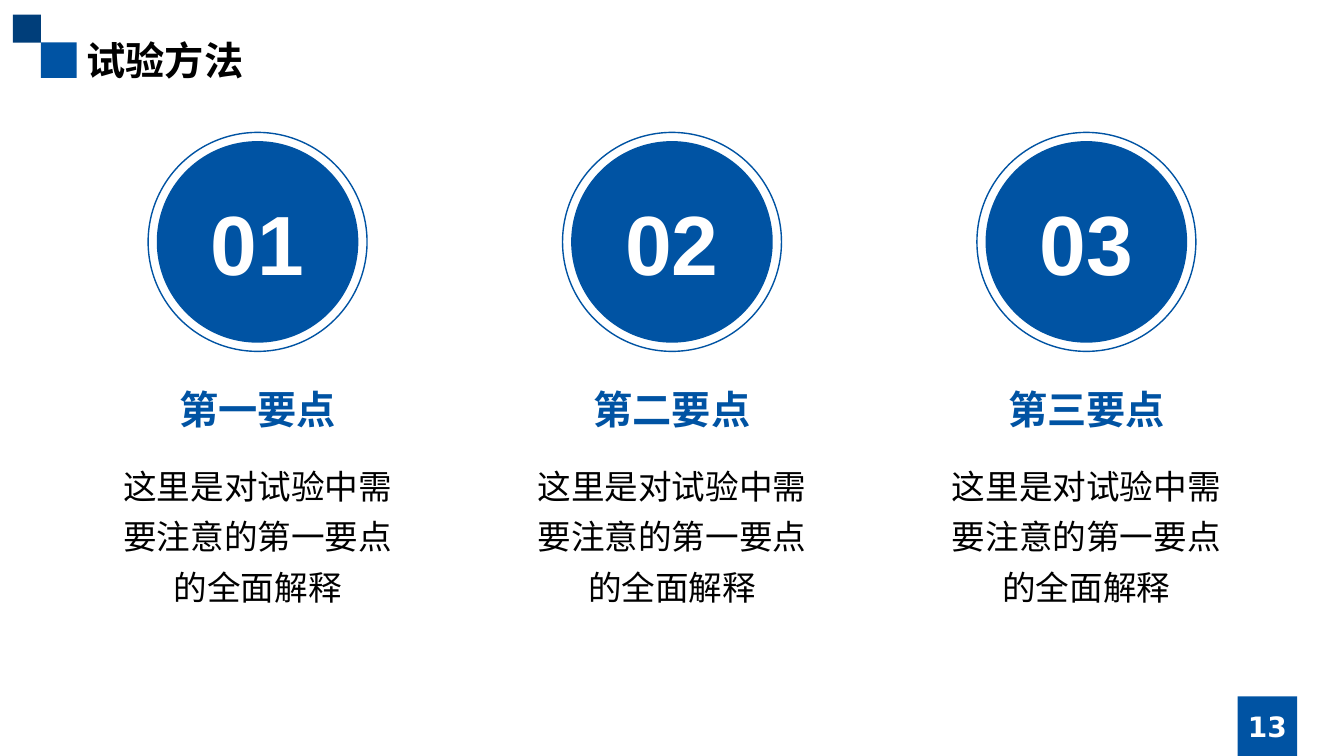
import pptx
import pptx.dml.color
import pptx.enum.shapes
import pptx.enum.text
import pptx.oxml
import pptx.oxml.ns
import pptx.util

Pt = pptx.util.Pt
SHAPES = pptx.enum.shapes.MSO_SHAPE
ANCHOR = pptx.enum.text.MSO_ANCHOR
ALIGN = pptx.enum.text.PP_ALIGN

BLUE, NAVY, WHITE, BLACK = "0053A3", "003E7A", "FFFFFF", "000000"
CJK_FONT = "Noto Sans CJK SC"
FIRST_CENTER, COLUMN_STEP = 184, 296
DISC, RING = 144, 156.4
CIRCLE_MIDDLE = 172.8
EXPLANATION = "这里是对试验中需要注意的第一要点的全面解释"
POINTS = [("01", "第一要点"), ("02", "第二要点"), ("03", "第三要点")]


def color(hex_text):
    return pptx.dml.color.RGBColor.from_string(hex_text)


def set_all(target, values):
    for name, value in values.items():
        setattr(target, name, value)


def write(box, text, size, hex_text, font="Arial", bold=True,
          align=ALIGN.CENTER, anchor=ANCHOR.MIDDLE, spacing=1.0):
    frame = box.text_frame
    set_all(frame, {"word_wrap": True, "vertical_anchor": anchor,
                    "auto_size": pptx.enum.text.MSO_AUTO_SIZE.NONE})
    para = frame.paragraphs[0]
    set_all(para, {"alignment": align, "line_spacing": spacing})
    span = para.add_run()
    span.text = text
    set_all(span.font, {"name": font, "size": Pt(size), "bold": bold})
    span.font.color.rgb = color(hex_text)
    # East Asian typeface
    east = pptx.oxml.parse_xml(
        f'<a:ea {pptx.oxml.ns.nsdecls("a")} typeface="{CJK_FONT}"/>')
    span.font._element.append(east)


def add_text(page, left, top, width, height, text, size, hex_text, **options):
    box = page.shapes.add_textbox(Pt(left), Pt(top), Pt(width), Pt(height))
    write(box, text, size, hex_text, **options)


def add_figure(page, kind, left, top, side, fill=None, line=None):
    figure = page.shapes.add_shape(kind, Pt(left), Pt(top), Pt(side), Pt(side))
    figure.shadow.inherit = False
    if fill:
        figure.fill.solid()
        figure.fill.fore_color.rgb = color(fill)
    else:
        figure.fill.background()
    if line:
        figure.line.color.rgb = color(line)
        figure.line.width = Pt(1)
    else:
        figure.line.fill.background()
    return figure


def add_circle(page, center, diameter, **paint):
    return add_figure(page, SHAPES.OVAL, center - diameter / 2,
                      CIRCLE_MIDDLE - diameter / 2, diameter, **paint)


def add_point(page, center, number, heading):
    disc = add_circle(page, center, DISC, fill=BLUE)
    write(disc, number, 60, WHITE)
    add_circle(page, center, RING, line=BLUE)
    add_text(page, center - 106, 271.5, 212, 41, heading, 28, BLUE)
    add_text(page, center - 106, 322, 212, 116.6, EXPLANATION, 24, BLACK,
             bold=False, anchor=ANCHOR.TOP, spacing=Pt(36))


def main():
    deck = pptx.Presentation()
    set_all(deck, {"slide_width": Pt(960), "slide_height": Pt(540)})
    page = deck.slides.add_slide(deck.slide_layouts[5])

    # Corner squares and page number
    add_figure(page, SHAPES.RECTANGLE, 29.3, 30.3, 25.4, fill=BLUE)
    add_figure(page, SHAPES.RECTANGLE, 9.3, 10.5, 20, fill=NAVY)
    add_figure(page, SHAPES.RECTANGLE, 884, 497.4, 42.6, fill=BLUE)
    add_text(page, 850.5, 504.5, 109.5, 29, "13", 20, WHITE,
             font="DejaVu Sans")

    # Title
    title = page.shapes.title
    set_all(title, {"left": Pt(54.7), "top": Pt(22.3),
                    "width": Pt(850), "height": Pt(41)})
    write(title, "试验方法", 28, BLACK, font=CJK_FONT, align=ALIGN.LEFT)

    # Three numbered points
    for index, (number, heading) in enumerate(POINTS):
        add_point(page, FIRST_CENTER + index * COLUMN_STEP, number, heading)

    deck.save("out.pptx")


if __name__ == "__main__":
    main()
